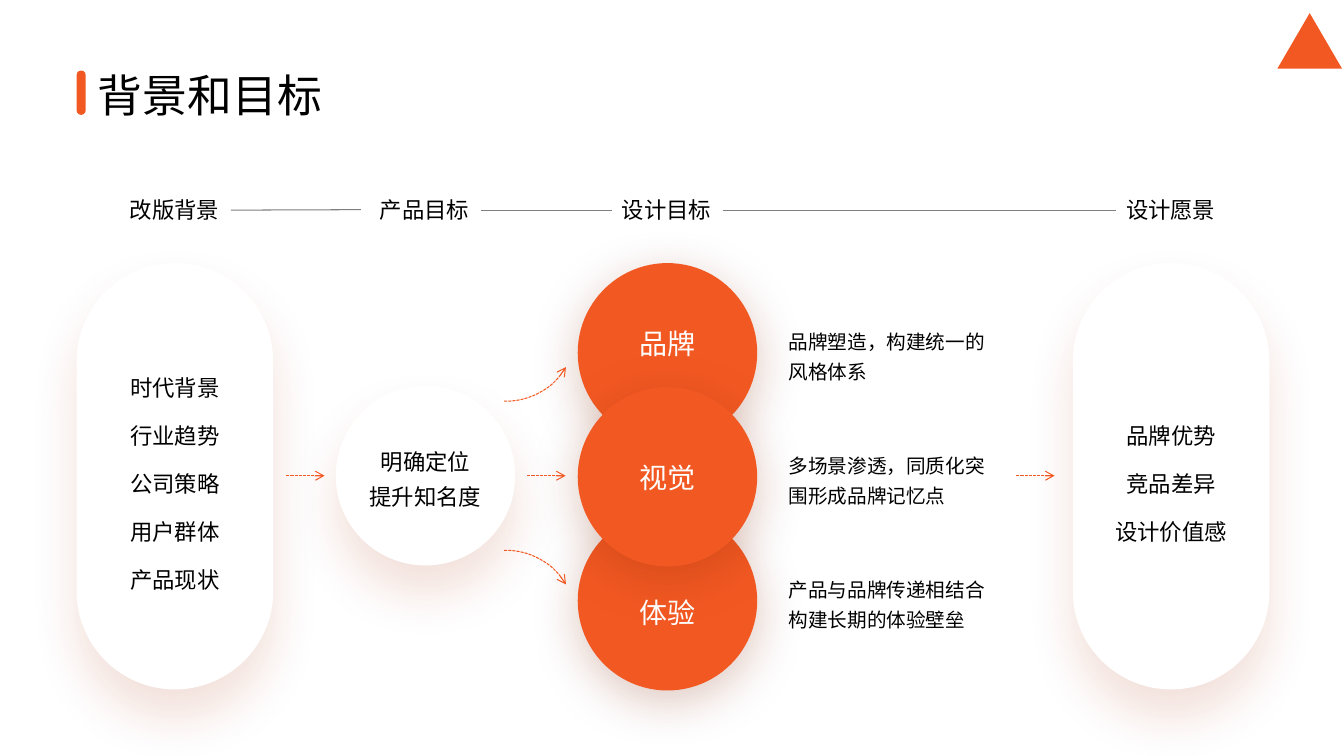
from lxml import etree
from pptx import Presentation
from pptx.dml.color import RGBColor
from pptx.enum.dml import MSO_LINE
from pptx.enum.shapes import MSO_CONNECTOR, MSO_SHAPE
from pptx.enum.text import MSO_ANCHOR, MSO_AUTO_SIZE, PP_ALIGN
from pptx.oxml.ns import qn
from pptx.util import Inches, Pt

ROUND, OVAL, ARC = MSO_SHAPE.ROUNDED_RECTANGLE, MSO_SHAPE.OVAL, MSO_SHAPE.ARC
TRIANGLE = MSO_SHAPE.ISOSCELES_TRIANGLE
STRAIGHT, DASH = MSO_CONNECTOR.STRAIGHT, MSO_LINE.SQUARE_DOT
TOP, MIDDLE = MSO_ANCHOR.TOP, MSO_ANCHOR.MIDDLE
LEFT, CENTER = PP_ALIGN.LEFT, PP_ALIGN.CENTER
FIXED = MSO_AUTO_SIZE.NONE

COLORS = {"orange": "F25822", "white": "FFFFFF", "black": "000000",
          "gray": "7F7F7F", "glow": "AE340A", "shade": "822808"}
FONT = "Calibri"
SOFT = ("glow", 15, 35, 20)
DEEP = ("shade", 25, 35, 8)
DISC = 1.78
MID = 4.72


def rgb(name):
    return RGBColor.from_string(COLORS[name])


def inches(box):
    return [Inches(v) for v in box]


def add_shadow(shape, color, alpha, blur, dist):
    """Cast a shadow straight down; alpha in percent, blur and dist in points."""
    effects = shape.element.spPr.find(qn("a:effectLst"))
    outer = etree.SubElement(effects, qn("a:outerShdw"), blurRad=str(Pt(blur)),
                             dist=str(Pt(dist)), dir="5400000", algn="t",
                             rotWithShape="0")
    tint = etree.SubElement(outer, qn("a:srgbClr"), val=COLORS[color])
    etree.SubElement(tint, qn("a:alpha"), val=str(alpha * 1000))


def add_block(slide, kind, box, fill, shadow=None):
    shape = slide.shapes.add_shape(kind, *inches(box))
    shape.shadow.inherit = False
    shape.fill.solid()
    shape.fill.fore_color.rgb = rgb(fill)
    shape.line.fill.background()
    if kind == ROUND:
        shape.adjustments[0] = 0.5
    if shadow:
        add_shadow(shape, *shadow)
    return shape


def write(frame, lines, size, color="black", align=LEFT, spacing=None):
    for i, line in enumerate(lines):
        para = frame.paragraphs[0] if i == 0 else frame.add_paragraph()
        para.alignment = align
        para.space_before = Pt(0)
        if spacing:
            para.line_spacing = spacing
        run = para.add_run()
        run.text = line
        run.font.size, run.font.name = Pt(size), FONT
        run.font.color.rgb = rgb(color)


def add_text(slide, box, lines, size, color="black", align=LEFT,
             spacing=None, wrap=False, pad=(0.08, 0.04)):
    shape = slide.shapes.add_textbox(*inches(box))
    frame = shape.text_frame
    frame.word_wrap = wrap
    frame.margin_left = frame.margin_right = Inches(pad[0])
    frame.margin_top = frame.margin_bottom = Inches(pad[1])
    write(frame, lines, size, color, align, spacing)
    return shape


def place(holder, box, anchor):
    holder.left, holder.top, holder.width, holder.height = inches(box)
    frame = holder.text_frame
    frame.auto_size, frame.vertical_anchor = FIXED, anchor
    return frame


def add_line(slide, start, end, color):
    line = slide.shapes.add_connector(STRAIGHT, *inches(start + end))
    etree.SubElement(line.element.spPr, qn("a:effectLst"))
    line.line.color.rgb, line.line.width = rgb(color), Pt(0.75)
    return line


def dash(shape, end):
    """Dash the outline and put an arrowhead at headEnd or tailEnd."""
    shape.line.dash_style = DASH
    etree.SubElement(shape.line._get_or_add_ln(), qn("a:" + end), type="arrow")


def add_title(slide, x, y):
    add_block(slide, ROUND, (x, y, 0.09, 0.44), "orange")
    frame = place(slide.shapes.title, (x + 0.11, y - 0.08, 3.25, 0.64), TOP)
    write(frame, ["背景和目标"], 32)


def add_heads(slide, y):
    heads = [(1.19, "改版背景"), (3.67, "产品目标"),
             (6.07, "设计目标"), (11.07, "设计愿景")]
    boxes = [add_text(slide, (x, y, 1.1, 0.37), [name], 16, pad=(0.1, 0.05))
             for x, name in heads]
    mid = y + 0.18
    for i, (prev, following) in enumerate(zip(boxes, boxes[1:])):
        line = add_line(slide, (heads[i][0] + 1.1, mid),
                        (heads[i + 1][0] - 0.09, mid), "gray")
        line.begin_connect(prev, 3)
        if i:
            line.end_connect(following, 1)


def add_pill(slide, holder, x, y, items):
    pill = add_block(slide, ROUND, (x, y, 1.95, 4.23), "white", SOFT)
    holder.element.addprevious(pill.element)
    frame = place(holder, (x, y - 0.03, 1.95, 4.23), MIDDLE)
    write(frame, items, 16, align=CENTER, spacing=Pt(34.2))
    for para in frame.paragraphs:
        props = para._p.get_or_add_pPr()
        props.set("marL", "0")
        props.set("indent", "0")
        etree.SubElement(props, qn("a:buNone"))


def add_focus(slide, x, y):
    add_block(slide, OVAL, (x, y, DISC, DISC), "white", SOFT)
    add_text(slide, (x + 0.25, y + 0.5, 1.28, 0.76), ["明确定位", "提升知名度"],
             16, align=CENTER, spacing=1.3)


def add_goals(slide, x, y):
    step = 1.23
    goals = [("品牌", 0.59, "品牌塑造，构建统一的风格体系"),
             ("视觉", 0.69, "多场景渗透，同质化突围形成品牌记忆点"),
             ("体验", 0.8, "产品与品牌传递相结合构建长期的体验壁垒")]
    for row in (0, 2, 1):
        name, drop, note = goals[row]
        top = y + row * step
        add_block(slide, OVAL, (x, top, DISC, DISC), "orange", DEEP)
        add_text(slide, (x + 0.53, top + drop, 0.72, 0.42), [name], 20, "white")
        add_text(slide, (x + 2.01, top + 0.55, 2.29, 0.67), [note], 14,
                 spacing=1.3, wrap=True)


def add_arrows(slide):
    for x in (2.84, 5.23, 10.08):
        dash(add_line(slide, (x, MID), (x + 0.38, MID), "orange"), "tailEnd")
    for y, flip in ((2.6, False), (5.46, True)):
        arc = slide.shapes.add_shape(ARC, *inches((4.33, y, 1.38, 1.38)))
        arc.shadow.inherit = False
        arc.adjustments[0], arc.adjustments[1] = 18.38, 55.47
        arc.fill.background()
        arc.line.color.rgb, arc.line.width = rgb("orange"), Pt(0.75)
        dash(arc, "headEnd")
        if flip:
            arc.element.spPr.xfrm.set("flipV", "1")


def main():
    deck = Presentation()
    deck.slide_width, deck.slide_height = Inches(13.33), Inches(7.5)
    slide = deck.slides.add_slide(deck.slide_layouts[3])
    past, vision = slide.placeholders[1], slide.placeholders[2]
    add_block(slide, TRIANGLE, (12.67, 0.13, 0.64, 0.55), "orange")
    add_title(slide, 0.76, 0.7)
    add_heads(slide, 1.9)
    add_pill(slide, past, 0.76, 2.61,
             ["时代背景", "行业趋势", "公司策略", "用户群体", "产品现状"])
    add_focus(slide, 3.33, 3.83)
    add_pill(slide, vision, 10.64, 2.61, ["品牌优势", "竞品差异", "设计价值感"])
    add_goals(slide, 5.73, 2.61)
    add_arrows(slide)
    deck.save("out.pptx")


if __name__ == "__main__":
    main()
